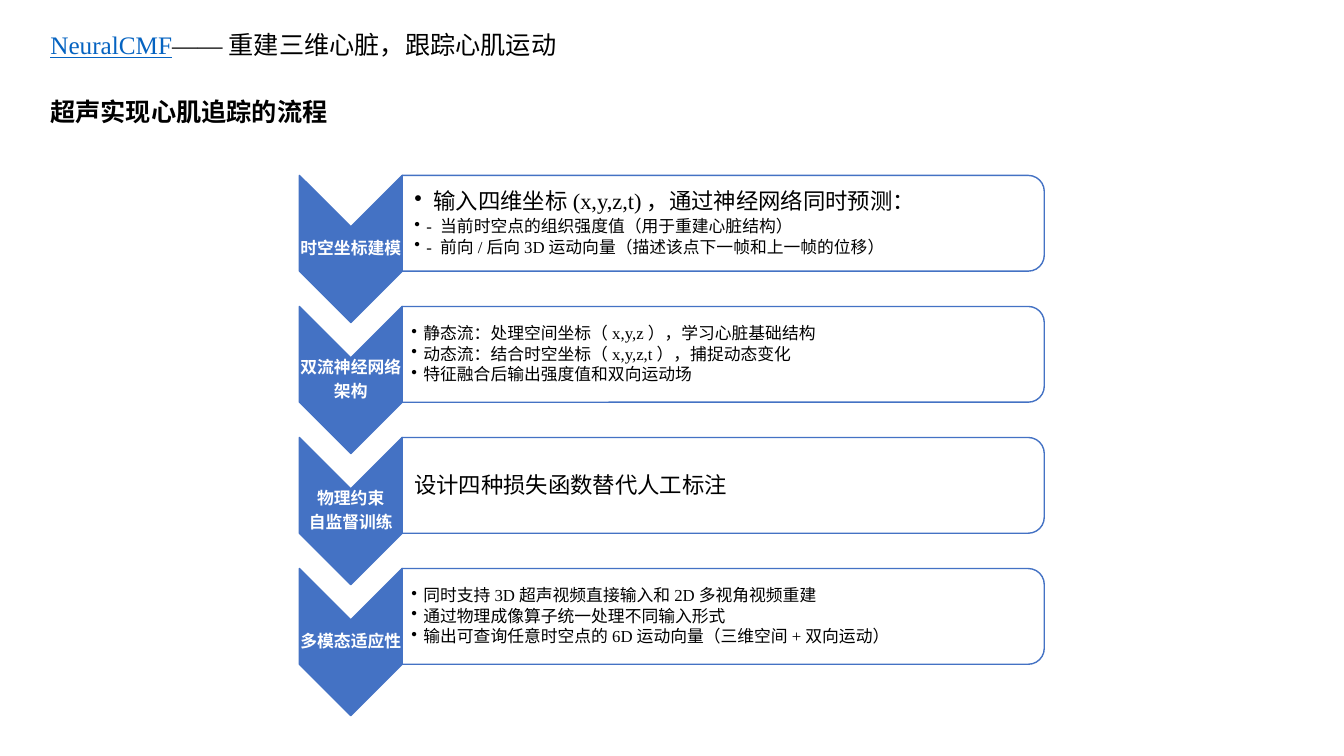
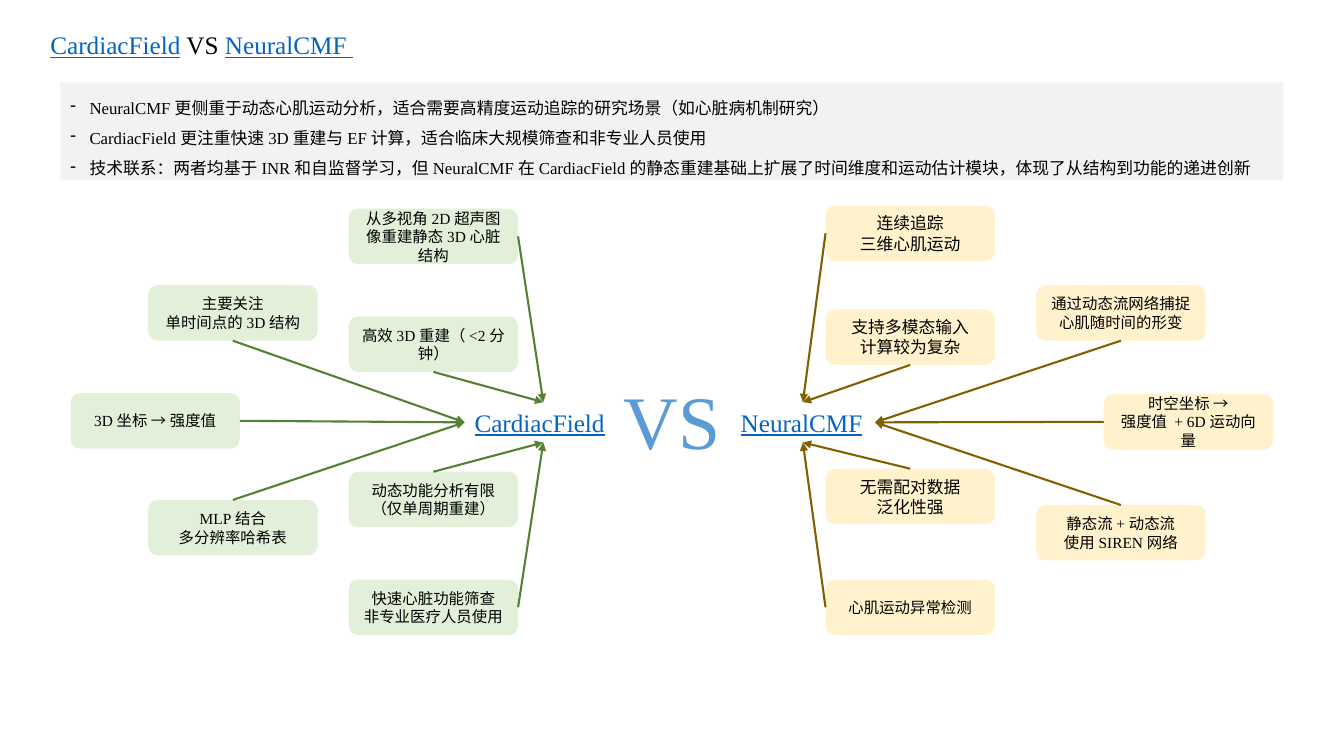
from dataclasses import dataclass

from lxml.etree import SubElement
from pptx import Presentation
from pptx.dml.color import RGBColor
from pptx.enum.lang import MSO_LANGUAGE_ID
from pptx.enum.shapes import MSO_CONNECTOR, MSO_SHAPE
from pptx.enum.text import MSO_ANCHOR, MSO_AUTO_SIZE, PP_ALIGN
from pptx.oxml.ns import qn
from pptx.util import Emu, Pt


@dataclass(frozen=True)
class Theme:
    font: str = "Times New Roman"
    ink: str = "000000"
    white: str = "FFFFFF"
    link: str = "0563C1"
    step: str = "4472C4"
    panel: str = "F2F2F2"
    versus: str = "5B9BD5"
    heading: int = 18
    lead: int = 16
    body: int = 12
    small: int = 11
    huge: int = 54


T = Theme()
TOP, LEFT, BOTTOM, RIGHT = range(4)
LINK = {"color": T.link, "underline": True}
CARDIAC, NEURAL = ("CardiacField", LINK), ("NeuralCMF", LINK)

FLOW_TITLE = [NEURAL, "——重建三维心脏，跟踪心肌运动"]
FLOW_SUBTITLE = "超声实现心肌追踪的流程"
STEPS = [
    (["时空坐标建模"], [
        ("输入四维坐标(x,y,z,t)，通过神经网络同时预测：", T.lead),
        ("- 当前时空点的组织强度值（用于重建心脏结构）", T.body),
        ("- 前向/后向3D运动向量（描述该点下一帧和上一帧的位移）", T.body)]),
    (["双流神经网络", "架构"], [
        ("静态流：处理空间坐标（x,y,z），学习心脏基础结构", T.body),
        ("动态流：结合时空坐标（x,y,z,t），捕捉动态变化", T.body),
        ("特征融合后输出强度值和双向运动场", T.body)]),
    (["物理约束", "自监督训练"], [
        ("设计四种损失函数替代人工标注", T.lead)]),
    (["多模态适应性"], [
        ("同时支持3D超声视频直接输入和2D多视角视频重建", T.body),
        ("通过物理成像算子统一处理不同输入形式", T.body),
        ("输出可查询任意时空点的6D运动向量（三维空间+双向运动）", T.body)]),
]

VERSUS_TITLE = [CARDIAC, " VS ", ("NeuralCMF ", LINK)]
SUMMARY = [
    "NeuralCMF更侧重于动态心肌运动分析，适合需要高精度运动追踪的研究场景（如心脏病机制研究）",
    "CardiacField更注重快速3D重建与EF计算，适合临床大规模筛查和非专业人员使用",
    "技术联系：两者均基于INR和自监督学习，但NeuralCMF在CardiacField的静态重建基础上扩展了时间维度和运动估计模块，体现了从结构到功能的递进创新",
]
SIDES = [
    {"hub": CARDIAC, "at": (461, 399, 156, 40), "fill": "E2F0D9", "line": "548235", "nodes": [
        (346, 207, ["从多视角2D超声图像重建静态3D心脏结构"], T.small, RIGHT, TOP),
        (346, 314, ["高效3D重建（<2分钟）"], T.small, BOTTOM, TOP),
        (147, 283, ["主要关注", "单时间点的3D结构"], T.small, BOTTOM, LEFT),
        (70, 390, ["3D坐标 → 强度值"], T.small, RIGHT, LEFT),
        (147, 496, ["MLP结合", "多分辨率哈希表"], T.small, TOP, LEFT),
        (346, 468, ["动态功能分析有限（仅单周期重建）"], T.small, TOP, BOTTOM),
        (346, 575, ["快速心脏功能筛查", "非专业医疗人员使用"], T.small, RIGHT, BOTTOM)]},
    {"hub": NEURAL, "at": (725, 399, 143, 40), "fill": "FFF2CC", "line": "806000", "nodes": [
        (819, 204, ["连续追踪", "三维心肌运动"], T.body, LEFT, TOP),
        (819, 307, ["支持多模态输入", "计算较为复杂"], T.body, BOTTOM, TOP),
        (1028, 283, ["通过动态流网络捕捉心肌随时间的形变"], T.small, BOTTOM, RIGHT),
        (1095, 391, ["时空坐标 →", "强度值 + 6D运动向量"], T.small, LEFT, RIGHT),
        (1028, 501, ["静态流+动态流", "使用SIREN网络"], T.small, TOP, RIGHT),
        (819, 465, ["无需配对数据", "泛化性强"], T.body, TOP, BOTTOM),
        (819, 575, ["心肌运动异常检测"], T.small, LEFT, BOTTOM)]},
]


def px(n):
    return Emu(round(n * 9144))


def rgb(color):
    return RGBColor.from_string(color)


def write(tf, content, size=T.body, color=T.ink, bold=False, align=PP_ALIGN.LEFT,
          spacing=None, after=None, bullet=None, hang=0):
    p = tf.paragraphs[0]
    if p.runs:
        p = tf.add_paragraph()
    if bullet:
        pPr = p._p.get_or_add_pPr()
        pPr.set("marL", str(px(hang)))
        pPr.set("indent", str(-px(hang)))
        SubElement(pPr, qn("a:buChar")).set("char", bullet)
    p.alignment = align
    if spacing:
        p.line_spacing = spacing
    if after:
        p.space_after = Pt(after)
    for part in [content] if isinstance(content, str) else content:
        text, style = (part, {}) if isinstance(part, str) else part
        r = p.add_run()
        r.text = text
        f = r.font
        f.name, f.size, f.bold = T.font, Pt(size), bold
        f.language_id = MSO_LANGUAGE_ID.SIMPLIFIED_CHINESE
        f.underline = style.get("underline")
        f.color.rgb = rgb(style.get("color", color))


def frame(sp, anchor=MSO_ANCHOR.TOP, insets=(10, 5, 10, 5), wrap=True):
    tf = sp.text_frame
    tf.word_wrap, tf.auto_size, tf.vertical_anchor = wrap, MSO_AUTO_SIZE.NONE, anchor
    tf.margin_left, tf.margin_top, tf.margin_right, tf.margin_bottom = map(px, insets)
    return tf


def text_box(s, at, **kw):
    sp = s.shapes.add_textbox(*map(px, at))
    return sp, frame(sp, **kw)


def shape(s, kind, at, fill, line=None, rotation=0):
    sp = s.shapes.add_shape(kind, *map(px, at))
    sp.shadow.inherit = False
    sp.rotation = rotation
    sp.fill.solid()
    sp.fill.fore_color.rgb = rgb(fill)
    if line:
        sp.line.color.rgb = rgb(line)
        sp.line.width = Pt(1)
    else:
        sp.line.fill.background()
    return sp


def turned(s, kind, x, y, w, h, fill):
    at = (x + (w - h) / 2, y + (h - w) / 2, h, w)
    return shape(s, kind, at, fill, T.step, rotation=90)


def arrow(s, start, start_site, end, end_site, color):
    c = s.shapes.add_connector(MSO_CONNECTOR.STRAIGHT, 0, 0, 0, 0)
    c.begin_connect(start, start_site)
    c.end_connect(end, end_site)
    c.line.color.rgb = rgb(color)
    c.line.width = Pt(1.5)
    spPr = c._element.spPr
    SubElement(spPr.find(qn("a:ln")), qn("a:tailEnd")).set("type", "triangle")
    SubElement(spPr, qn("a:effectLst"))


def titled_slide(prs, title):
    s = prs.slides.add_slide(prs.slide_layouts[5])
    sp = s.shapes.title
    sp.left, sp.top, sp.width, sp.height = map(px, (40, 24, 988, 40))
    write(frame(sp), title, size=T.heading)
    return s


def flow_slide(prs):
    s = titled_slide(prs, FLOW_TITLE)
    _, tf = text_box(s, (40, 91, 988, 40))
    write(tf, FLOW_SUBTITLE, size=T.heading, bold=True)
    x, top, pitch, chevron_w, panel_w = 297, 174, 130, 102, 637
    panel_x = x + chevron_w
    for i, (label, items) in enumerate(STEPS):
        y = top + i * pitch
        turned(s, MSO_SHAPE.CHEVRON, x, y, chevron_w, 146, T.step)
        _, tf = text_box(s, (x, y + 51, chevron_w, 44), anchor=MSO_ANCHOR.MIDDLE, insets=(1,) * 4)
        for line in label:
            write(tf, line, color=T.white, bold=True, align=PP_ALIGN.CENTER, spacing=0.9, after=4.2)
        turned(s, MSO_SHAPE.ROUND_2_SAME_RECTANGLE, panel_x, y, panel_w, 95, T.white)
        inset = 12 if items[0][1] == T.lead else 9
        _, tf = text_box(s, (panel_x, y + 5, 632, 86), anchor=MSO_ANCHOR.MIDDLE, insets=(inset, 1, 1, 1))
        for text, size in items:
            write(tf, text, size=size, spacing=0.9, after=size * 0.15,
                  bullet="•" if len(items) > 1 else None, hang=19 if size == T.lead else 12)


def versus_slide(prs):
    s = titled_slide(prs, VERSUS_TITLE)
    tf = frame(shape(s, MSO_SHAPE.RECTANGLE, (60, 82, 1213, 97), T.panel))
    for text in SUMMARY:
        write(tf, text, spacing=1.5, bullet="-", hang=19)
    _, tf = text_box(s, (608, 366, 117, 101), wrap=False)
    write(tf, "VS", size=T.huge, color=T.versus, align=PP_ALIGN.CENTER)
    for side in SIDES:
        hub, tf = text_box(s, side["at"])
        write(tf, [side["hub"]], size=T.heading)
        for x, y, lines, size, site, hub_site in side["nodes"]:
            node = shape(s, MSO_SHAPE.ROUNDED_RECTANGLE, (x, y, 168, 55), side["fill"])
            tf = frame(node, anchor=MSO_ANCHOR.MIDDLE)
            for line in lines:
                write(tf, line, size=size, align=PP_ALIGN.CENTER)
            arrow(s, node, site, hub, hub_site, side["line"])


def main():
    prs = Presentation()
    prs.slide_width, prs.slide_height = Emu(12192000), px(750)
    flow_slide(prs)
    versus_slide(prs)
    prs.save("out.pptx")


if __name__ == "__main__":
    main()
